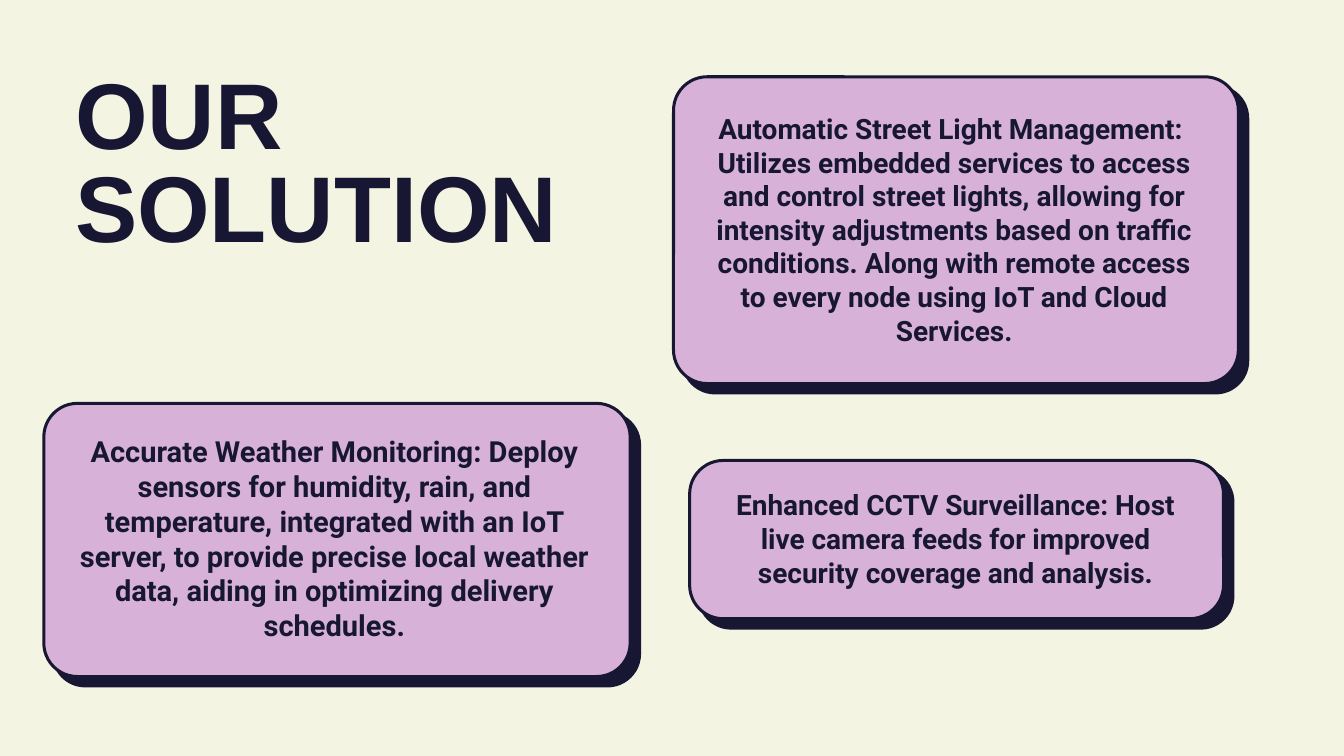
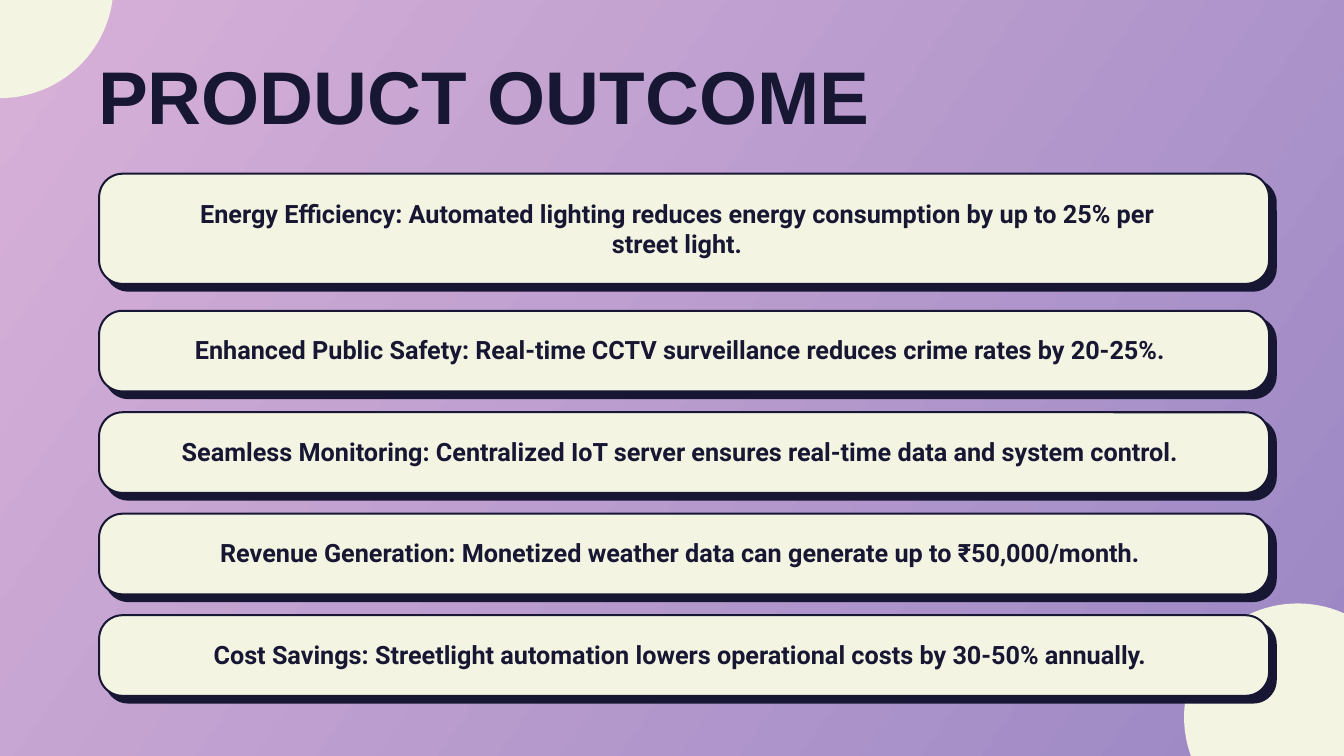
from pptx import Presentation
from pptx.dml.color import RGBColor
from pptx.enum.shapes import MSO_SHAPE
from pptx.enum.text import MSO_ANCHOR, MSO_AUTO_SIZE, PP_ALIGN
from pptx.util import Inches, Pt

COLORS = {"ink": "171733", "cream": "F4F4E3", "pink": "D8B1D8", "purple": "9B87C4"}
FRAME = {
    "margin_left": 0, "margin_right": 0, "margin_top": 0, "margin_bottom": 0,
    "word_wrap": True, "auto_size": MSO_AUTO_SIZE.NONE,
    "vertical_anchor": MSO_ANCHOR.TOP,
}
LARGE = {"fill": "pink", "rim": 0.045, "drop": 0.14, "radius": 0.5}
SMALL = {"fill": "cream", "rim": 0.03, "drop": 0.1, "radius": 0.35}

SOLUTIONS = [
    ((10, 1.12, 8.59, 4.75), (10.51, 1.66, 7.38, 3.51), 30, [
        "Automatic Street Light Management: ",
        "Utilizes embedded services to access and control street lights, allowing for "
        "intensity adjustments based on traffic conditions. Along with remote access "
        "to every node using IoT and Cloud Services."]),
    ((10.24, 6.83, 8.13, 2.54), (10.73, 7.26, 6.98, 1.51), 30, [
        "Enhanced CCTV Surveillance: Host live camera feeds for improved security "
        "coverage and analysis."]),
    ((0.63, 5.98, 8.91, 4.25), (1.15, 6.45, 7.65, 3.11), 31.1, [
        "Accurate Weather Monitoring: Deploy sensors for humidity, rain, and "
        "temperature, integrated with an IoT server, to provide precise local weather "
        "data, aiding in optimizing delivery schedules."]),
]
BENEFIT = ("Energy Efficiency: Automated lighting reduces energy consumption "
           "by up to 25% per street light.")
OUTCOMES = [
    "Enhanced Public Safety: Real-time CCTV surveillance reduces crime rates by 20-25%.",
    "Seamless Monitoring: Centralized IoT server ensures real-time data and system control.",
    "Revenue Generation: Monetized weather data can generate up to ₹50,000/month.",
    "Cost Savings: Streetlight automation lowers operational costs by 30-50% annually.",
]


def color(name):
    return RGBColor.from_string(COLORS[name])


def apply(target, values):
    for name, value in values.items():
        setattr(target, name, value)


class Deck:
    def __init__(self):
        self.prs = Presentation()
        self.prs.slide_width, self.prs.slide_height = Inches(20), Inches(11.25)
        self.slide = None

    def add(self, title, box, size):
        self.slide = self.prs.slides.add_slide(self.prs.slide_layouts[5])
        holder = self.slide.shapes.title
        sides = ("left", "top", "width", "height")
        apply(holder, dict(zip(sides, map(Inches, box))))
        self.label(holder.text_frame, [title], "Arial", size, size, PP_ALIGN.LEFT)

    def label(self, frame, lines, font, size, pitch, align):
        apply(frame, FRAME)
        frame.text = "\n".join(lines)
        for para in frame.paragraphs:
            apply(para, {"alignment": align, "line_spacing": Pt(pitch),
                         "space_before": Pt(0)})
            for run in para.runs:
                apply(run.font, {"name": font, "size": Pt(size), "bold": True})
                run.font.color.rgb = color("ink")

    def shape(self, kind, box, fill):
        item = self.slide.shapes.add_shape(kind, *map(Inches, box))
        item.shadow.inherit = False
        item.fill.solid()
        item.fill.fore_color.rgb = color(fill)
        item.line.fill.background()
        return item

    def circle(self, x, y):
        self.shape(MSO_SHAPE.OVAL, (x, y, 3.38, 3.38), "cream")

    def round(self, box, fill, radius):
        item = self.shape(MSO_SHAPE.ROUNDED_RECTANGLE, box, fill)
        item.adjustments[0] = radius / min(box[2:])
        return item

    def card(self, box, inner, lines, size, style):
        """Draw a rimmed panel over its hard shadow; box spans both."""
        x, y, w, h = box
        rim, drop, radius = style["rim"], style["drop"], style["radius"]
        w, h = w - drop, h - drop
        self.round((x + drop, y + drop, w, h), "ink", radius)
        face = self.round((x + rim / 2, y + rim / 2, w - rim, h - rim),
                          style["fill"], radius)
        face.line.color.rgb = color("ink")
        face.line.width = Inches(rim)
        text = self.slide.shapes.add_textbox(*map(Inches, inner))
        self.label(text.text_frame, lines, "Roboto", size, size * 1.2, PP_ALIGN.CENTER)

    def flat(self, name):
        fill = self.slide.background.fill
        fill.solid()
        fill.fore_color.rgb = color(name)

    def blend(self, names, angle):
        fill = self.slide.background.fill
        fill.gradient()
        fill.gradient_angle = angle
        for stop, name, place in zip(fill.gradient_stops, names, (0, 1)):
            stop.color.rgb = color(name)
            stop.position = place


def solution(deck):
    deck.add("OUR SOLUTION", (1.12, 1.11, 7.91, 3.06), 100)
    deck.flat("cream")
    for box, inner, size, lines in SOLUTIONS:
        deck.card(box, inner, lines, size, LARGE)


def outcome(deck):
    deck.add("PRODUCT OUTCOME", (1.46, 0.96, 12.09, 1.35), 80)
    deck.blend(("pink", "purple"), 360 - 35)
    deck.circle(17.62, 8.98)
    deck.card((1.46, 2.57, 17.54, 1.77), (2.44, 2.95, 15.27, 0.89), [BENEFIT], 27, SMALL)
    for row, text in enumerate(OUTCOMES):
        top = 4.61 + 1.51 * row
        deck.card((1.46, top, 17.54, 1.33), (2.32, top + 0.37, 15.59, 0.45),
                  [text], 27, SMALL)
    deck.circle(-1.69, -1.92)


def main():
    deck = Deck()
    solution(deck)
    outcome(deck)
    deck.prs.save("out.pptx")


if __name__ == "__main__":
    main()
